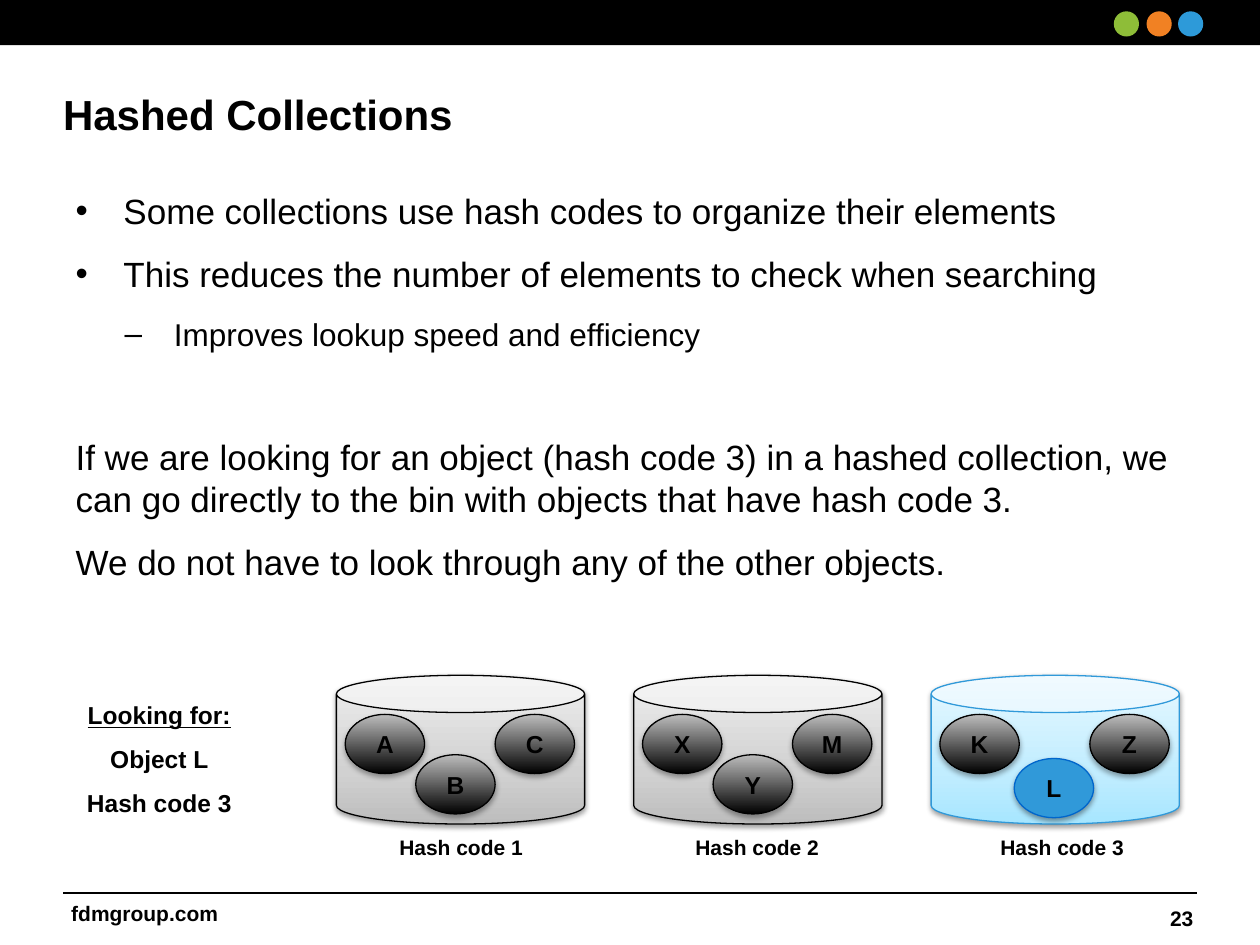
from dataclasses import dataclass

from lxml.etree import SubElement
from pptx import Presentation
from pptx.dml.color import RGBColor
from pptx.enum.shapes import MSO_CONNECTOR, MSO_SHAPE
from pptx.enum.text import MSO_ANCHOR, PP_ALIGN
from pptx.oxml.ns import qn
from pptx.util import Inches, Pt

COLORS = {
    "black": "000000", "white": "FFFFFF",
    "green": "8EBD38", "orange": "F18123", "sky": "2D9AD9",
    "blue": "3099D9", "navy": "0066CC",
}
GRAY_BIN = ((0, "BDBDBD"), (35, "D1D1D1"), (100, "EEEEEE"))
BLUE_BIN = ((0, "A7E6FF"), (35, "C1EDFF"), (100, "E7F8FF"))
DARK_BALL = ((0, "000000"), (100, "BDBDBD"))

BIN_LEFT, BIN_TOP, BIN_PITCH = 2.67, 5.36, 2.36
BIN_SIZE = (1.97, 1.18)
BALL_SIZE = (0.63, 0.47)
BALL_SPOTS = ((0.07, 0.31), (0.63, 0.63), (1.26, 0.31))
FOUND_SPOT = (0.66, 0.66)


@dataclass
class Bin:
    label: str
    label_left: float
    objects: str
    found: str = ""


@dataclass
class BodyLine:
    text: str
    size: int = 20
    bullet: str = ""
    level: int = 0
    margin: float = 0
    hanging: float = 0
    before: int = 12


BINS = (
    Bin("Hash code 1", 2.99, "ABC"),
    Bin("Hash code 2", 5.34, "XYM"),
    Bin("Hash code 3", 7.76, "KLZ", found="L"),
)
BODY = (
    BodyLine("Some collections use hash codes to organize their elements",
             bullet="•", margin=0.38, hanging=0.38, before=0),
    BodyLine("This reduces the number of elements to check when searching",
             bullet="•", margin=0.38, hanging=0.38),
    BodyLine("Improves lookup speed and efficiency", size=18,
             bullet="–", level=1, margin=0.78, hanging=0.39),
    BodyLine("If we are looking for an object (hash code 3) in a hashed collection, "
             "we can go directly to the bin with objects that have hash code 3.",
             before=47),
    BodyLine("We do not have to look through any of the other objects."),
)


def rgb(name: str) -> RGBColor:
    return RGBColor.from_string(COLORS[name])


def place(s, left: float, top: float, width: float, height: float) -> None:
    s.left, s.top = Inches(left), Inches(top)
    s.width, s.height = Inches(width), Inches(height)


def write(p, text: str, *, size=14, bold=True, underline=False,
          align=PP_ALIGN.LEFT, spacing=1.0, before=0) -> None:
    """Fill one paragraph with formatted text."""
    p.alignment, p.line_spacing = align, spacing
    p.space_before, p.space_after = Pt(before), Pt(0)
    r = p.add_run()
    r.text = text
    r.font.name, r.font.size = "Arial", Pt(size)
    r.font.bold, r.font.underline = bold, underline
    r.font.color.rgb = rgb("black")


def add_text(slide, box: tuple, text: str, *, anchor=MSO_ANCHOR.TOP,
             wrap=True, **fmt):
    tf = slide.shapes.add_textbox(*map(Inches, box)).text_frame
    tf.word_wrap, tf.vertical_anchor = wrap, anchor
    write(tf.paragraphs[0], text, **fmt)
    return tf


def set_gradient(s, stops: tuple) -> None:
    """Fill a shape with stops that run from bottom to top."""
    s.fill.gradient()
    s.fill.gradient_angle = 90
    gs_list = s._element.spPr.find(qn("a:gradFill")).find(qn("a:gsLst"))
    for old in list(gs_list):
        gs_list.remove(old)
    for position, color in stops:
        gs = SubElement(gs_list, qn("a:gs"), pos=str(position * 1000))
        SubElement(gs, qn("a:srgbClr"), val=color)


def set_shadow(s, alpha: int, distance: float) -> None:
    s.shadow.inherit = False
    effects = s._element.spPr.find(qn("a:effectLst"))
    shadow = SubElement(effects, qn("a:outerShdw"), blurRad=str(Pt(3.1)),
                        dist=str(Pt(distance)), dir="5400000", rotWithShape="0")
    color = SubElement(shadow, qn("a:srgbClr"), val=COLORS["black"])
    SubElement(color, qn("a:alpha"), val=str(alpha * 1000))


def add_shape(slide, kind, box: tuple, fill, line: str = ""):
    """Add a shape; fill is a colour name or a tuple of gradient stops."""
    s = slide.shapes.add_shape(kind, *map(Inches, box))
    s.shadow.inherit = False
    if isinstance(fill, str):
        s.fill.solid()
        s.fill.fore_color.rgb = rgb(fill)
    else:
        set_gradient(s, fill)
    if line:
        s.line.color.rgb, s.line.width = rgb(line), Pt(0.75)
    else:
        s.line.fill.background()
    return s


def add_ball(slide, letter: str, left: float, top: float, found: bool) -> None:
    fill, line = ("blue", "navy") if found else (DARK_BALL, "black")
    s = add_shape(slide, MSO_SHAPE.OVAL, (left, top, *BALL_SIZE), fill, line)
    set_shadow(s, *((38, 1.6) if found else (35, 1.8)))
    s.text_frame.vertical_anchor = MSO_ANCHOR.MIDDLE
    write(s.text_frame.paragraphs[0], letter, align=PP_ALIGN.CENTER)


def add_bin(slide, item: Bin, left: float) -> None:
    fill, line = (BLUE_BIN, "blue") if item.found else (GRAY_BIN, "black")
    s = add_shape(slide, MSO_SHAPE.CAN, (left, BIN_TOP, *BIN_SIZE), fill, line)
    set_shadow(s, 38, 1.6)
    for letter, spot in zip(item.objects, BALL_SPOTS):
        found = letter == item.found
        dx, dy = FOUND_SPOT if found else spot
        add_ball(slide, letter, left + dx, BIN_TOP + dy, found)
    add_text(slide, (item.label_left, 6.57, 1.34, 0.35), item.label,
             size=12, align=PP_ALIGN.CENTER)


def add_frame(slide) -> None:
    """Draw the top band with its dots and the footer."""
    add_shape(slide, MSO_SHAPE.RECTANGLE, (0, 0, 10, 0.36), "black")
    for left, color in ((8.84, "green"), (9.1, "orange"), (9.35, "sky")):
        add_shape(slide, MSO_SHAPE.OVAL, (left, 0.09, 0.2, 0.2), color)
    rule = slide.shapes.add_connector(
        MSO_CONNECTOR.STRAIGHT, *map(Inches, (0.5, 7.09, 9.5, 7.09)))
    rule.line.color.rgb, rule.line.width = rgb("black"), Pt(1)
    SubElement(rule._element.spPr, qn("a:effectLst"))
    footer = {"size": 12, "align": PP_ALIGN.RIGHT, "anchor": MSO_ANCHOR.MIDDLE}
    add_text(slide, (0.44, 7.1, 1.39, 0.3), "fdmgroup.com", wrap=False, **footer)
    add_text(slide, (7.24, 7.09, 2.33, 0.4), "23", **footer)


def fill_title(s) -> None:
    place(s, 0.5, 0.7, 9, 0.45)
    tf = s.text_frame
    tf.margin_left = tf.margin_top = tf.margin_right = 0
    tf.margin_bottom = Inches(0.05)
    tf.vertical_anchor = MSO_ANCHOR.TOP
    write(tf.paragraphs[0], "Hashed Collections", size=24)


def fill_body(s) -> None:
    place(s, 0.5, 1.45, 9, 5.29)
    tf = s.text_frame
    for i, line in enumerate(BODY):
        p = tf.add_paragraph() if i else tf.paragraphs[0]
        p.level = line.level
        p_pr = p._p.get_or_add_pPr()
        p_pr.set("marL", str(Inches(line.margin)))
        p_pr.set("indent", str(-Inches(line.hanging)))
        if line.bullet:
            SubElement(p_pr, qn("a:buFont"), typeface="Arial")
            SubElement(p_pr, qn("a:buChar"), char=line.bullet)
        else:
            SubElement(p_pr, qn("a:buNone"))
        write(p, line.text, size=line.size, bold=False, before=line.before)


def main() -> None:
    prs = Presentation()
    prs.slide_width, prs.slide_height = Inches(10), Inches(7.5)
    slide = prs.slides.add_slide(prs.slide_layouts[1])
    fill_title(slide.shapes.title)
    fill_body(slide.placeholders[1])
    add_frame(slide)
    for i, item in enumerate(BINS):
        add_bin(slide, item, BIN_LEFT + i * BIN_PITCH)
    fmt = {"align": PP_ALIGN.CENTER, "spacing": 1.5}
    tf = add_text(slide, (0.5, 5.39, 1.53, 1.03), "Looking for:",
                  underline=True, **fmt)
    for text in ("Object L", "Hash code 3"):
        write(tf.add_paragraph(), text, **fmt)
    prs.save("out.pptx")


if __name__ == "__main__":
    main()
